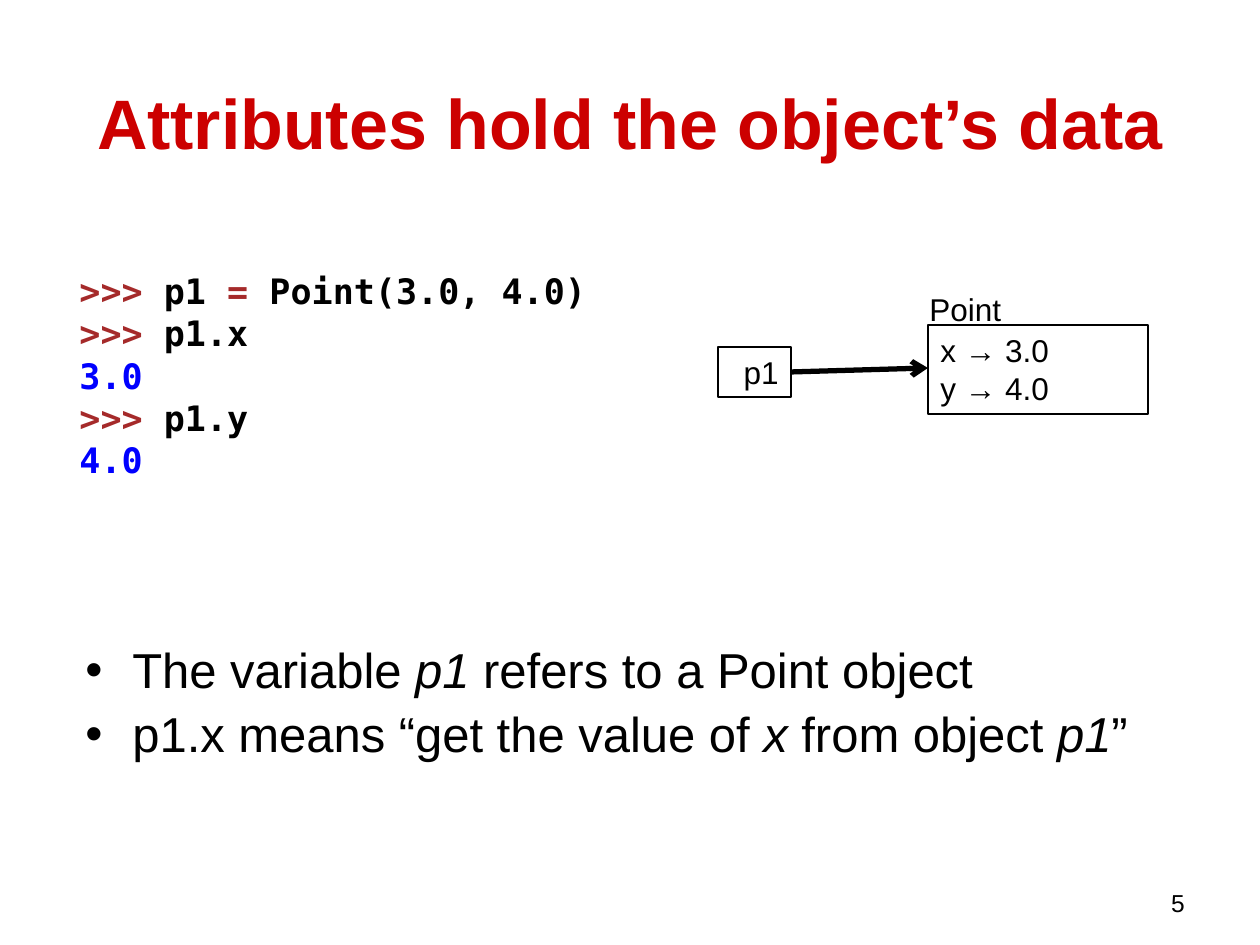
"""Build a slide on how attributes hold an object's data."""
from dataclasses import dataclass

from lxml import etree
from pptx import Presentation
from pptx import util as u
from pptx.dml.color import RGBColor
from pptx.enum import shapes, text
from pptx.oxml.ns import qn

EMU_PER_PX = 914400 // 126


@dataclass(frozen=True)
class Theme:
    sans: str = "Arial"
    mono: str = "DejaVu Sans Mono"
    ink: str = "000000"
    title: str = "CC0000"
    prompt: str = "A52A2A"
    output: str = "0000FF"
    title_pt: int = 40
    body_pt: int = 28
    code_pt: int = 20
    label_pt: int = 18
    number_pt: int = 14
    box_pt: float = 0.75
    arrow_pt: float = 3


@dataclass(frozen=True)
class Run:
    text: str
    color: str = Theme.ink
    italic: bool = False


@dataclass(frozen=True)
class Block:
    box: tuple[int, int, int, int]
    paragraphs: list[list[Run]]
    size: int = Theme.label_pt
    font: str = Theme.sans
    bold: bool = False
    align: text.PP_ALIGN = text.PP_ALIGN.LEFT
    anchor: text.MSO_ANCHOR = text.MSO_ANCHOR.TOP
    wrap: bool = True
    bullet: bool = False
    outlined: bool = False


T = Theme()
PROMPT = Run(">>>", T.prompt)
CODE = [
    [PROMPT, Run(" p1 "), Run("=", T.prompt), Run(" Point(3.0, 4.0)")],
    [PROMPT, Run(" p1.x")],
    [Run("3.0", T.output)],
    [PROMPT, Run(" p1.y")],
    [Run("4.0", T.output)],
]
BULLETS = [
    [Run("The variable "), Run("p1", italic=True), Run(" refers to a Point object")],
    [Run("p1.x means “get the value of "), Run("x", italic=True),
     Run(" from object "), Run("p1", italic=True), Run("”")],
]
BLOCKS = [
    Block((903, 882, 294, 32), [[Run("5")]], T.number_pt, align=text.PP_ALIGN.RIGHT),
    Block((63, 42, 1134, 158), [[Run("Attributes hold the object’s data", T.title)]],
          T.title_pt, bold=True, align=text.PP_ALIGN.CENTER,
          anchor=text.MSO_ANCHOR.MIDDLE),
    Block((73, 640, 1113, 210), BULLETS, T.body_pt, bullet=True),
    Block((718, 347, 73, 50), [[Run("p1")]], align=text.PP_ALIGN.RIGHT, outlined=True),
    Block((928, 325, 220, 89), [[Run("x → 3.0")], [Run("y → 4.0")]], outlined=True),
    Block((917, 284, 199, 50), [[Run("Point")]]),
    Block((67, 263, 534, 224), CODE, T.code_pt, T.mono, bold=True,
          anchor=text.MSO_ANCHOR.MIDDLE, wrap=False),
]


def px(n: int) -> u.Emu:
    """Turn whole pixels into EMU."""
    return u.Emu(n * EMU_PER_PX)


def add_bullet(p) -> None:
    """Give a paragraph a hanging bullet and the body spacing."""
    p.line_spacing = 0.9
    p.space_before = u.Pt(6.4)
    pPr = p._p.get_or_add_pPr()
    pPr.set("marL", str(px(47)))
    pPr.set("indent", str(px(-47)))
    etree.SubElement(pPr, qn("a:buFont")).set("typeface", T.sans)
    etree.SubElement(pPr, qn("a:buChar")).set("char", "•")


def write_text(tf, paragraphs: list[list[Run]], *, size: int, font: str, bold: bool,
               align: text.PP_ALIGN, bullet: bool) -> None:
    """Write formatted paragraphs into a text frame."""
    for i, runs in enumerate(paragraphs):
        p = tf.add_paragraph() if i else tf.paragraphs[0]
        p.alignment = align
        if bullet:
            add_bullet(p)
        for run in runs:
            r = p.add_run()
            r.text = run.text
            r.font.name, r.font.size = font, u.Pt(size)
            r.font.bold, r.font.italic = bold, run.italic
            r.font.color.rgb = RGBColor.from_string(run.color)


def add_block(s, b: Block) -> None:
    """Draw a text block, as an outlined rectangle where asked."""
    box = [px(n) for n in b.box]
    if b.outlined:
        sp = s.shapes.add_shape(shapes.MSO_SHAPE.RECTANGLE, *box)
        sp.shadow.inherit = False
        sp.fill.background()
        sp.line.color.rgb = RGBColor.from_string(T.ink)
        sp.line.width = u.Pt(T.box_pt)
    else:
        sp = s.shapes.add_textbox(*box)
    tf = sp.text_frame
    tf.word_wrap = b.wrap
    tf.vertical_anchor = b.anchor
    write_text(tf, b.paragraphs, size=b.size, font=b.font, bold=b.bold,
               align=b.align, bullet=b.bullet)


def add_arrow(s, start: tuple[int, int], end: tuple[int, int]) -> None:
    """Draw a straight line with an open arrowhead at its end."""
    cx = s.shapes.add_connector(shapes.MSO_CONNECTOR.STRAIGHT,
                                *(px(n) for n in start + end))
    cx.line.color.rgb = RGBColor.from_string(T.ink)
    cx.line.width = u.Pt(T.arrow_pt)
    etree.SubElement(cx.line._get_or_add_ln(), qn("a:tailEnd")).set("type", "arrow")
    etree.SubElement(cx._element.spPr, qn("a:effectLst"))


def main() -> None:
    """Build and save the slide."""
    prs = Presentation()
    prs.slide_width, prs.slide_height = px(1260), px(945)
    s = prs.slides.add_slide(prs.slide_layouts[6])
    for block in BLOCKS:
        add_block(s, block)
    add_arrow(s, (791, 372), (928, 368))
    prs.save("out.pptx")


main()
